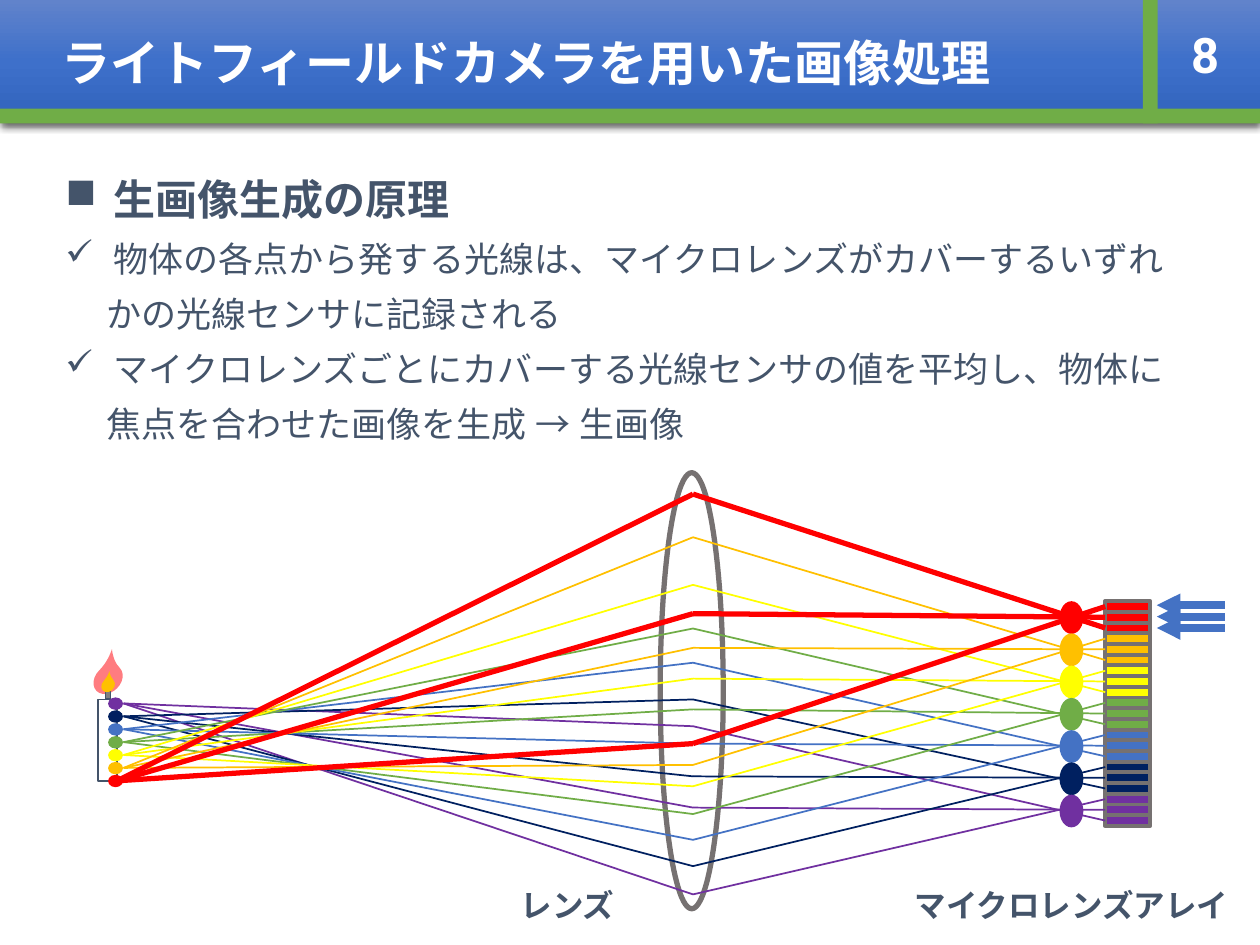
"""Build the slide on raw image generation in a light field camera."""
from copy import deepcopy

from lxml import etree
from pptx import Presentation
from pptx.dml.color import RGBColor
from pptx.enum.shapes import MSO_CONNECTOR, MSO_SHAPE
from pptx.enum.text import MSO_ANCHOR, PP_ALIGN
from pptx.oxml.ns import qn
from pptx.util import Cm, Pt

RECTANGLE = MSO_SHAPE.RECTANGLE
OVAL = MSO_SHAPE.OVAL
TEAR = MSO_SHAPE.TEAR
STRAIGHT = MSO_CONNECTOR.STRAIGHT
MIDDLE = MSO_ANCHOR.MIDDLE
TOP = MSO_ANCHOR.TOP
LEFT = PP_ALIGN.LEFT
CENTER = PP_ALIGN.CENTER
FONT = "Roboto"
WHITE, SLATE, GRAY = "FFFFFF", "44546A", "767171"
GREEN, BLUE, RED, AMBER = "70AD47", "4472C4", "FF0000", "FFC000"

deck = Presentation()
deck.slide_width, deck.slide_height = Cm(25.4), Cm(19.05)
page = deck.slides.add_slide(deck.slide_layouts[6])


def add_figure(kind, left, top, width, height, fill=None, line=None, weight=1):
    figure = page.shapes.add_shape(kind, Cm(left), Cm(top), Cm(width), Cm(height))
    figure.shadow.inherit = False
    if fill:
        figure.fill.solid()
        figure.fill.fore_color.rgb = RGBColor.from_string(fill)
    else:
        figure.fill.background()
    if line:
        figure.line.color.rgb = RGBColor.from_string(line)
        figure.line.width = Pt(weight)
    else:
        figure.line.fill.background()
    return figure


def add_line(start, end, color, weight):
    points = [Cm(value) for value in (*start, *end)]
    line = page.shapes.add_connector(STRAIGHT, *points)
    line.line.color.rgb = RGBColor.from_string(color)
    line.line.width = Pt(weight)
    etree.SubElement(line._element.spPr, qn("a:effectLst"))
    return line


banner = add_figure(RECTANGLE, 0, 0, 25.4, 2.49)
banner.fill.gradient()
banner.fill.gradient_angle = 270
stop_list = banner._element.spPr.find(qn("a:gradFill")).find(qn("a:gsLst"))
stop_list.insert(1, deepcopy(stop_list[0]))
for stop, position, color in zip(
    banner.fill.gradient_stops, (0, 0.5, 1), ("6183CB", "3E70CA", "3062BB")
):
    stop.position = position
    stop.color.rgb = RGBColor.from_string(color)
effects = banner._element.spPr.find(qn("a:effectLst"))
shadow = etree.SubElement(
    effects, qn("a:outerShdw"), blurRad=str(Pt(4.5)), dist=str(Pt(1.5)),
    dir="5400000", algn="t", rotWithShape="0",
)
shade = etree.SubElement(shadow, qn("a:srgbClr"), val="000000")
etree.SubElement(shade, qn("a:alpha"), val="63000")
add_figure(RECTANGLE, 0, 2.19, 25.4, 0.3, GREEN)
add_figure(RECTANGLE, 23.04, 0, 0.3, 2.49, GREEN)

sensor_pitch = 4.53 / 21
lens_x = 13.97
bundles = [
    (RED, (9.96, 12.37, 14.99)),
    (AMBER, (10.83, 13.06, 15.42)),
    ("FFFF00", (11.79, 13.68, 15.85)),
    (GREEN, (12.67, 14.3, 16.41)),
    (BLUE, (13.36, 14.99, 16.93)),
    ("002060", (14.1, 15.65, 17.46)),
    ("7030A0", (14.64, 16.28, 18.03)),
]

sensors = []
for index in range(21):
    top = 12.12 + index * sensor_pitch
    color = bundles[index // 3][0]
    sensors.append(
        add_figure(RECTANGLE, 22.28, top, 0.91, sensor_pitch, color, GRAY, 2.25)
    )

add_figure(RECTANGLE, 1.98, 14.1, 0.38, 1.65, WHITE, SLATE)
flame = add_figure(TEAR, 1.85, 13.44, 0.66, 0.51, "FF7C80")
add_figure(RECTANGLE, 2.13, 13.94, 0.1, 0.15, "808080", SLATE)
flame_core = add_figure(TEAR, 2.03, 13.69, 0.3, 0.25, AMBER)
for drop in (flame, flame_core):
    drop.rotation = 315
    drop.adjustments[0] = 1.476

for index, (color, hits) in enumerate(bundles):
    add_figure(OVAL, 21.36, 12.12 + 0.65 * index, 0.48, 0.66, color)
    add_figure(OVAL, 2.18, 15.62 - 0.26 * index, 0.3, 0.25, color)
add_figure(OVAL, 13.31, 9.53, 1.27, 8.79, line=GRAY, weight=3)

for index, (color, hits) in reversed(list(enumerate(bundles))):
    weight, source_x = (3, 2.36) if color == RED else (1, 2.49)
    source = (source_x, 15.74 - 0.26 * index)
    for order, hit in enumerate(hits):
        add_line(source, (lens_x, hit), color, weight)
        ray = add_line((22.28, hit), (lens_x, hit), color, weight)
        ray.begin_connect(sensors[3 * index + 2 - order], 1)

body = page.shapes.add_textbox(Cm(1.07), Cm(3.48), Cm(23.24), Cm(6.88))
body.text_frame.word_wrap = True
lines = [
    ("■", "生画像生成の原理"),
    ("✓", "物体の各点から発する光線は、マイクロレンズがカバーするいずれ"),
    (None, "かの光線センサに記録される"),
    ("✓", "マイクロレンズごとにカバーする光線センサの値を平均し、物体に"),
    (None, "焦点を合わせた画像を生成 → 生画像"),
]
styled = []
for index, (bullet, text) in enumerate(lines):
    para = body.text_frame.add_paragraph() if index else body.text_frame.paragraphs[0]
    para.text = text
    properties = para._p.get_or_add_pPr()
    properties.set("marL", str(Cm(0.97 if bullet else 0.82)))
    if bullet:
        properties.set("indent", str(-Cm(0.97)))
        etree.SubElement(properties, qn("a:buChar"), char=bullet)
    if index:
        para.space_before = Pt(7.5)
        styled.append((para, 20, SLATE, False))
    else:
        para.line_spacing = 0.9
        styled.append((para, 24, SLATE, True))

banner.text_frame.margin_left = Cm(1.24)
number = page.shapes.add_textbox(Cm(23.19), 0, Cm(2.21), Cm(2.19))
lens_label = page.shapes.add_textbox(Cm(7.39), Cm(17.82), Cm(8.1), Cm(1.24))
array_label = page.shapes.add_textbox(Cm(17.55), Cm(17.82), Cm(8.1), Cm(1.24))
for box, text, size, color, alignment, anchor, spacing in (
    (banner, "ライトフィールドカメラを用いた画像処理", 28, WHITE, LEFT, MIDDLE, 1),
    (number, "8", 28, WHITE, CENTER, MIDDLE, 1),
    (lens_label, "レンズ", 18, SLATE, CENTER, TOP, 0.9),
    (array_label, "マイクロレンズアレイ", 18, SLATE, CENTER, TOP, 0.9),
):
    frame = box.text_frame
    frame.text = text
    frame.word_wrap = True
    frame.vertical_anchor = anchor
    para = frame.paragraphs[0]
    para.alignment = alignment
    para.line_spacing = spacing
    styled.append((para, size, color, True))

for para, size, color, bold in styled:
    for span in para.runs:
        span.font.size = Pt(size)
        span.font.bold = bold
        span.font.name = FONT
        span.font.color.rgb = RGBColor.from_string(color)
        etree.SubElement(span._r.get_or_add_rPr(), qn("a:ea"), typeface=FONT)

for index in range(3):
    y = 12.2 + 0.23 * (2 - index)
    arrow = add_line((24.69, y), (23.32, y), BLUE, 4.5)
    etree.SubElement(arrow.line._get_or_add_ln(), qn("a:tailEnd"), type="triangle")

deck.save("out.pptx")
